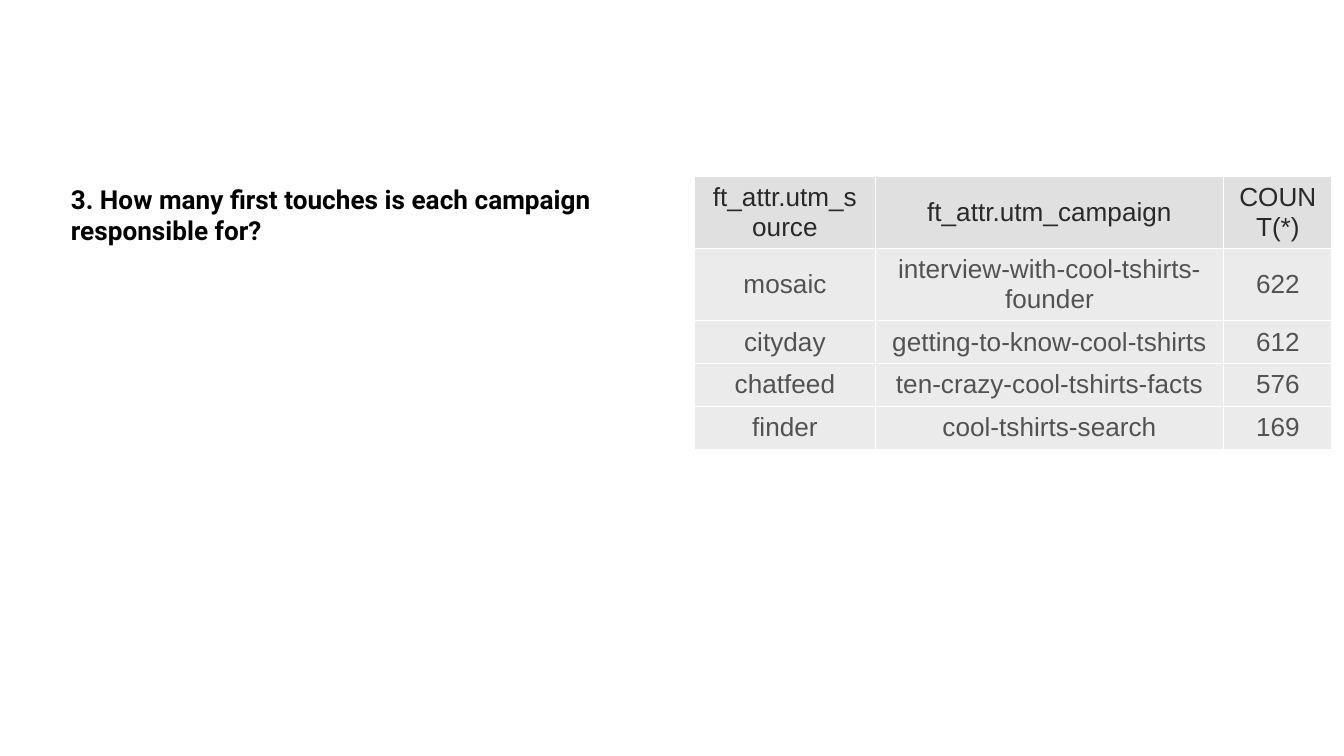
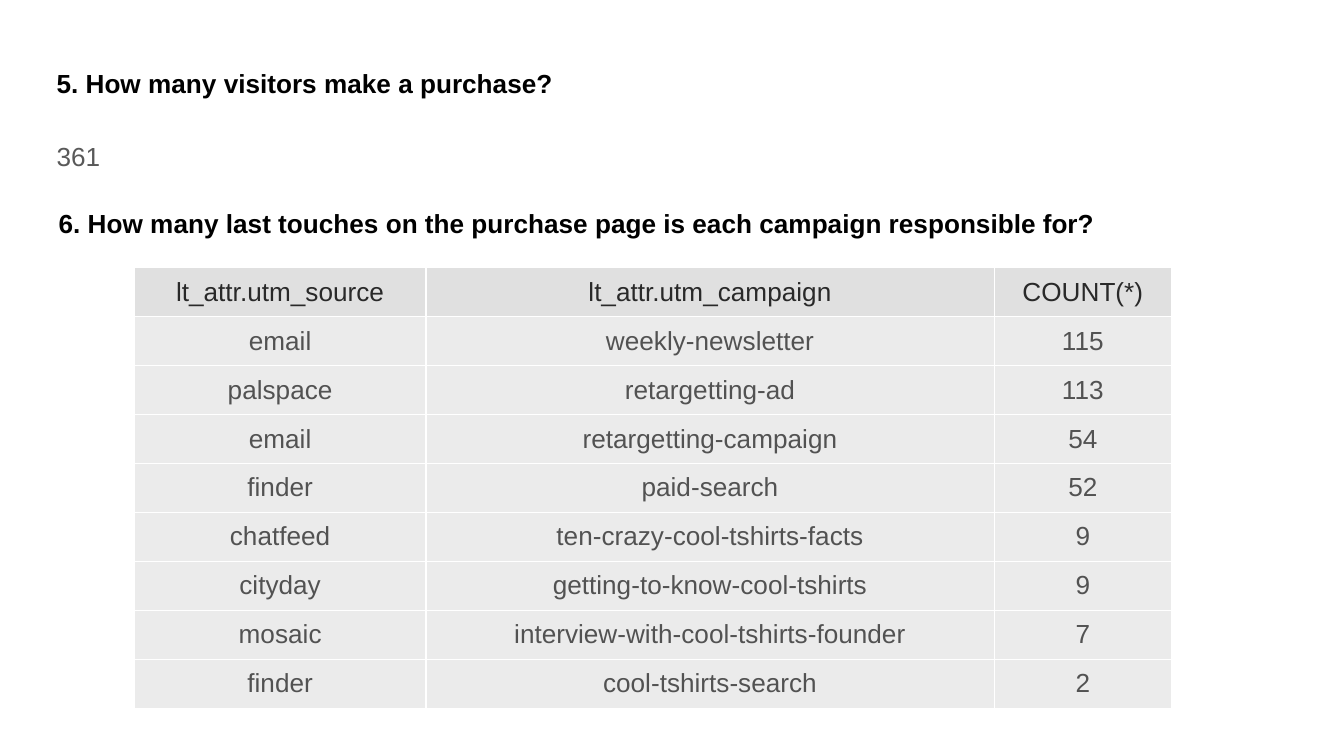
"""Build two slides of campaign answers with tables of touch counts."""
from lxml.etree import SubElement as Sub
from pptx import Presentation
from pptx.dml.color import RGBColor
from pptx.enum.text import MSO_ANCHOR as Anchor, PP_ALIGN as Align
from pptx.oxml.ns import qn
from pptx.util import Cm, Pt

hue = RGBColor.from_string
BLACK, GRAY, WHITE = "000000", "595959", "FFFFFF"
HEAD, BODY = ("E0E0E0", "292929"), ("EBEBEB", "525252")
SIZE = Pt(14)


def write(slide, spot, lines, face="Arial", pads=(0.25, 0.13)):
    """Add a text box; each line holds its words, colour and weight."""
    box = slide.shapes.add_textbox(*map(Cm, spot))
    frame = box.text_frame
    frame.word_wrap = True
    frame.margin_left, frame.margin_top = map(Cm, pads)
    frame.text = "\n".join(words for words, _, _ in lines)
    for para, (_, color, bold) in zip(frame.paragraphs, lines):
        font = para.runs[0].font
        font.name, font.size, font.bold = face, SIZE, bold
        font.color.rgb = hue(color)
    return frame


def tabulate(slide, left, top, wides, highs, rows):
    """Add a table with a darker head row and thin white borders."""
    spot = map(Cm, (left, top, sum(wides), sum(highs)))
    table = slide.shapes.add_table(len(rows), len(wides), *spot).table
    table.horz_banding = table.first_row = False
    for col, wide in zip(table.columns, wides):
        col.width = Cm(wide)
    for i, (row, high, words) in enumerate(zip(table.rows, highs, rows)):
        row.height = Cm(high)
        back, fore = BODY if i else HEAD
        for cell, word in zip(row.cells, words):
            cell.text = word
            cell.vertical_anchor = Anchor.MIDDLE
            para = cell.text_frame.paragraphs[0]
            para.alignment = Align.CENTER
            font = para.runs[0].font
            font.name, font.size = "Arial", SIZE
            font.color.rgb = hue(fore)
            props = cell._tc.get_or_add_tcPr()
            for side in ("lnL", "lnR", "lnT", "lnB"):
                line = Sub(props, qn(f"a:{side}"), w=str(Pt(0.75)))
                Sub(Sub(line, qn("a:solidFill")), qn("a:srgbClr"), val=WHITE)
            cell.fill.solid()
            cell.fill.fore_color.rgb = hue(back)


deck = Presentation()
deck.slide_width, deck.slide_height = Cm(25.4), Cm(14.29)
first, last = [deck.slides.add_slide(deck.slide_layouts[6]) for _ in range(2)]
for slide in (first, last):
    slide.background.fill.solid()
    slide.background.fill.fore_color.rgb = hue(WHITE)

tabulate(first, 13.13, 3.33, (3.41, 6.59, 2.04), (1.35, 1.35, 0.81, 0.81, 0.81), [
    ("ft_attr.utm_source", "ft_attr.utm_campaign", "COUNT(*)"),
    ("mosaic", "interview-with-cool-tshirts-founder", "622"),
    ("cityday", "getting-to-know-cool-tshirts", "612"),
    ("chatfeed", "ten-crazy-cool-tshirts-facts", "576"),
    ("finder", "cool-tshirts-search", "169"),
])
ask = "3. How many first touches is each campaign responsible for?"
write(first, (1.09, 3.33, 12.7, 1.45), [(ask, BLACK, True)], "Roboto")

frame = write(last, (0.51, 0.94, 23.67, 2.16), [
    ("5. How many visitors make a purchase?", BLACK, True),
    ("361", GRAY, False),
], pads=(0.56, 0.25))
for para in frame.paragraphs:
    para.line_spacing = 1.15
frame.paragraphs[1].space_before = Pt(19.5)

ask = "6. How many last touches on the purchase page is each campaign responsible for?"
write(last, (0.86, 3.1, 23.67, 1.96), [(ask, BLACK, True)], pads=(0.25, 0.83))
tabulate(last, 2.54, 5.06, (5.51, 10.74, 3.35), [8.33 / 9] * 9, [
    ("lt_attr.utm_source", "lt_attr.utm_campaign", "COUNT(*)"),
    ("email", "weekly-newsletter", "115"),
    ("palspace", "retargetting-ad", "113"),
    ("email", "retargetting-campaign", "54"),
    ("finder", "paid-search", "52"),
    ("chatfeed", "ten-crazy-cool-tshirts-facts", "9"),
    ("cityday", "getting-to-know-cool-tshirts", "9"),
    ("mosaic", "interview-with-cool-tshirts-founder", "7"),
    ("finder", "cool-tshirts-search", "2"),
])

deck.save("out.pptx")
